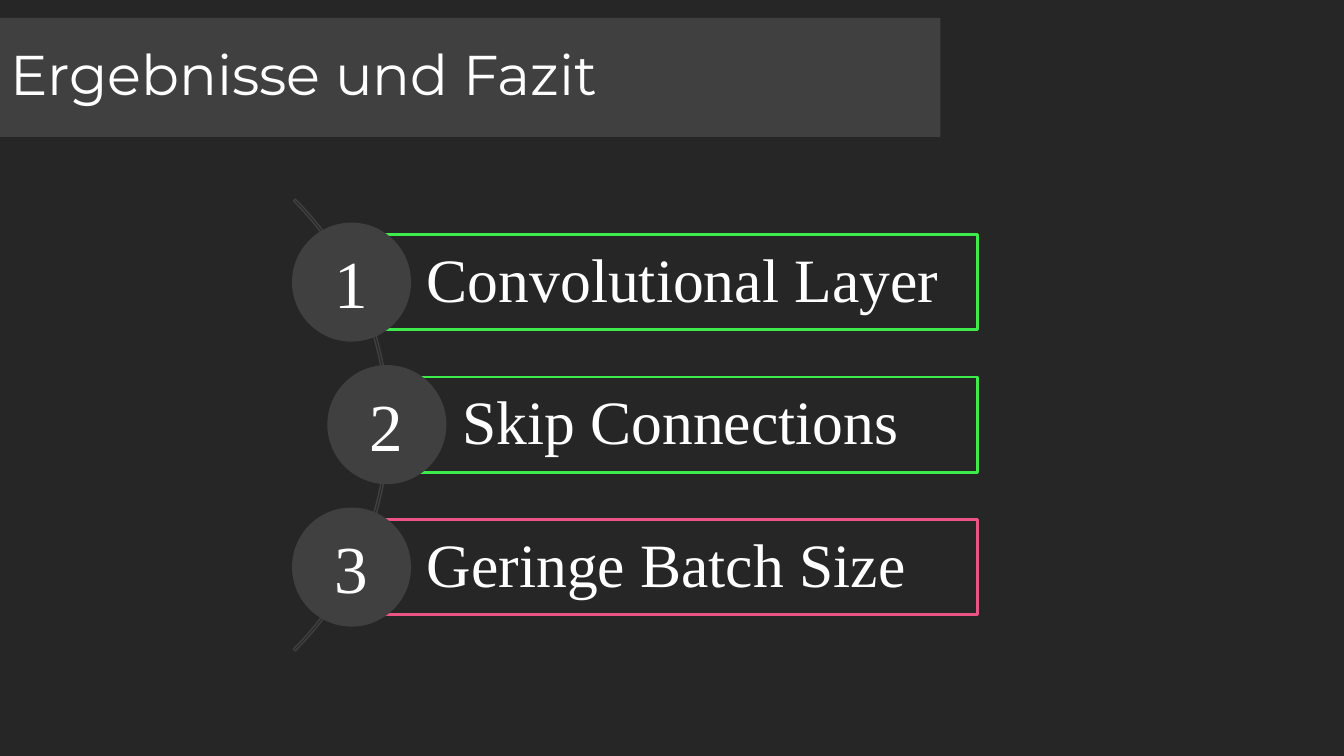
import pptx
import pptx.util
import pptx.dml.color
import pptx.enum.shapes
import pptx.enum.text

Cm = pptx.util.Cm
Pt = pptx.util.Pt
KINDS = pptx.enum.shapes.MSO_SHAPE
ALIGN = pptx.enum.text.PP_ALIGN
MID = pptx.enum.text.MSO_ANCHOR.MIDDLE
FIT = pptx.enum.text.MSO_AUTO_SIZE

TITLE = "Ergebnisse und Fazit"
ITEMS = [
    ("1", "Convolutional Layer", "green", 8.86, 2.25),
    ("2", "Skip Connections", "green", 9.75, 2),
    ("3", "Geringe Batch Size", "pink", 8.86, 2),
]
COLORS = {
    "back": "262626",
    "gray": "404040",
    "white": "FFFFFF",
    "green": "3DEB4C",
    "pink": "EB5484",
}
SERIF = "Times New Roman"
TOP, STEP, HIGH, RIGHT = 5.91, 3.59, 2.4, 24.64
DISC = 3.0
ARC = {"mid": (1.75, 10.71), "size": 16.1, "turns": (189, 27, 0.004)}


def color(name):
    return pptx.dml.color.RGBColor.from_string(COLORS[name])


def apply(target, values):
    for key, value in values.items():
        setattr(target, key, value)


def paint(shape, fill=None, line=None, width=1):
    if fill:
        shape.fill.solid()
        shape.fill.fore_color.rgb = color(fill)
    else:
        shape.fill.background()
    if line:
        shape.line.color.rgb = color(line)
        shape.line.width = Pt(width)
    else:
        shape.line.fill.background()


def draw(slide, kind, box, **style):
    shape = slide.shapes.add_shape(kind, *map(Cm, box))
    shape.shadow.inherit = False
    paint(shape, **style)
    return shape


def write(shape, text, size, font, frame, para):
    apply(shape.text_frame, frame)
    first = shape.text_frame.paragraphs[0]
    first.text = text
    apply(first, para)
    apply(first.runs[0].font, {"size": Pt(size), "name": font})
    first.runs[0].font.color.rgb = color("white")


def main():
    deck = pptx.Presentation()
    apply(deck, {"slide_width": Cm(33.87), "slide_height": Cm(19.05)})
    slide = deck.slides.add_slide(deck.slide_layouts[5])
    slide.background.fill.solid()
    slide.background.fill.fore_color.rgb = color("back")

    tight = {"alignment": ALIGN.LEFT, "line_spacing": 0.9}
    title = slide.shapes.title
    apply(title, {"left": Cm(0), "top": Cm(0.45), "width": Cm(23.7), "height": Cm(3)})
    paint(title, "gray")
    frame = {"vertical_anchor": MID, "auto_size": FIT.NONE, "word_wrap": True}
    write(title, TITLE, 40, "Montserrat", frame, tight)

    size = ARC["size"]
    left, top = (mid - size / 2 for mid in ARC["mid"])
    arc = draw(slide, KINDS.BLOCK_ARC, (left, top, size, size), line="gray")
    for index, turn in enumerate(ARC["turns"]):
        arc.adjustments[index] = turn

    inset = {"margin_" + side: Cm(0.3) for side in ("top", "right", "bottom")}
    inset.update(frame, margin_left=Cm(1.9))
    for row, (digit, label, hue, left, width) in enumerate(ITEMS):
        top = TOP + row * STEP
        mid = top + HIGH / 2
        bar = draw(slide, KINDS.RECTANGLE, (left, top, RIGHT - left, HIGH),
                   line=hue, width=width)
        write(bar, label, 44, SERIF, inset, tight)
        draw(slide, KINDS.OVAL, (left - DISC / 2, mid - DISC / 2, DISC, DISC),
             fill="gray")
        box = slide.shapes.add_textbox(*map(Cm, (left - 0.69, top + 0.05, 1.37, 2.31)))
        write(box, digit, 48, SERIF,
              {"word_wrap": False, "auto_size": FIT.SHAPE_TO_FIT_TEXT},
              {"alignment": ALIGN.LEFT})

    deck.save("out.pptx")


if __name__ == "__main__":
    main()
